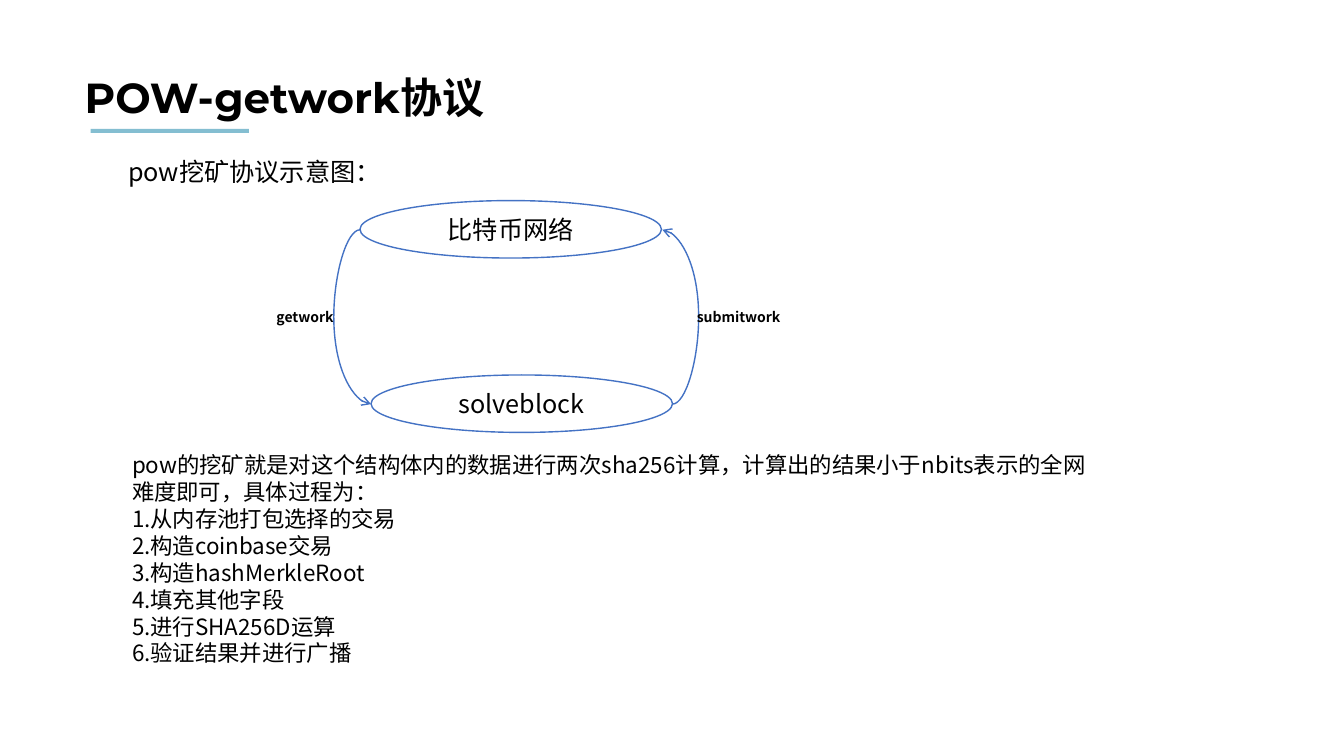
"""Build the slide on the POW getwork protocol."""
from lxml.etree import SubElement
from pptx import Presentation
from pptx.dml.color import RGBColor
from pptx.enum.shapes import MSO_CONNECTOR, MSO_SHAPE
from pptx.enum.text import MSO_ANCHOR, MSO_AUTO_SIZE, PP_ALIGN
from pptx.oxml.ns import qn
from pptx.util import Inches, Pt

BODY = "Noto Sans CJK SC"


def rgb(value):
    return RGBColor.from_string(value)


def write(s, lines, size, align=PP_ALIGN.LEFT, anchor=MSO_ANCHOR.TOP,
          font=BODY, bold=False, inset=0.05):
    tf = s.text_frame
    tf.text = "\n".join(lines)
    tf.word_wrap = True
    tf.auto_size = MSO_AUTO_SIZE.NONE
    tf.vertical_anchor = anchor
    tf.margin_left = tf.margin_right = Inches(inset)
    tf.margin_top = tf.margin_bottom = Inches(0.05)
    for p in tf.paragraphs:
        p.alignment = align
        p.font.size = Pt(size)
        p.font.bold = bold
        p.font.color.rgb = rgb("000000")
        p.font.name = font
        SubElement(p._p.pPr.find(qn("a:defRPr")), qn("a:ea"), typeface=BODY)


prs = Presentation()
prs.slide_width, prs.slide_height = Inches(13.33), Inches(7.5)
slide = prs.slides.add_slide(prs.slide_layouts[5])
shapes = slide.shapes

title = shapes.title
title.left, title.top = Inches(0.79), Inches(0.66)
title.width, title.height = Inches(5.7), Inches(0.6)
write(title, ["POW-getwork协议"], 30, font="Montserrat", bold=True)

rule = shapes.add_shape(MSO_SHAPE.RECTANGLE, Inches(0.9), Inches(1.28), Inches(1.57), Inches(0.04))
rule.shadow.inherit = False
rule.fill.solid()
rule.fill.fore_color.rgb = rgb("84BED1")
rule.line.fill.background()

intro = shapes.add_textbox(Inches(1.22), Inches(1.5), Inches(9.82), Inches(0.4))
write(intro, ["pow挖矿协议示意图："], 18)

for text, x, y in [("比特币网络", 3.57, 1.99), ("solveblock", 3.68, 3.72)]:
    node = shapes.add_shape(MSO_SHAPE.OVAL, Inches(x), Inches(y), Inches(2.99), Inches(0.57))
    node.shadow.inherit = False
    node.fill.solid()
    node.fill.fore_color.rgb = rgb("FFFFFF")
    node.line.color.rgb = rgb("4472C4")
    node.line.width = Pt(1)
    write(node, [text], 18, PP_ALIGN.CENTER, MSO_ANCHOR.MIDDLE)

for text, label_x, x1, y1, x2, y2 in [("getwork", 1.85, 3.57, 2.28, 3.68, 4.01),
                                      ("submitwork", 6.15, 6.67, 4.01, 6.57, 2.28)]:
    arrow = shapes.add_connector(MSO_CONNECTOR.CURVE, Inches(x1), Inches(y1), Inches(x2), Inches(y2))
    arrow.line.color.rgb = rgb("4472C4")
    arrow.line.width = Pt(1)
    SubElement(arrow.line._get_or_add_ln(), qn("a:tailEnd"), type="arrow")
    SubElement(arrow._element.spPr, qn("a:effectLst"))
    bend = round(-0.26 / abs(x2 - x1) * 100000)
    guides = arrow._element.spPr.prstGeom.get_or_add_avLst()
    SubElement(guides, qn("a:gd"), name="adj1", fmla=f"val {bend}")

    label = shapes.add_textbox(Inches(label_x), Inches(3.01), Inches(2.35), Inches(0.27))
    write(label, [text], 10, PP_ALIGN.CENTER, bold=True, inset=0.1)

steps = ["从内存池打包选择的交易", "构造coinbase交易", "构造hashMerkleRoot",
         "填充其他字段", "进行SHA256D运算", "验证结果并进行广播"]
process = shapes.add_textbox(Inches(1.26), Inches(4.43), Inches(9.74), Inches(2.25))
write(process, ["pow的挖矿就是对这个结构体内的数据进行两次sha256计算，"
                "计算出的结果小于nbits表示的全网难度即可，具体过程为："]
      + [f"{i}.{step}" for i, step in enumerate(steps, 1)], 16)

prs.save("out.pptx")
